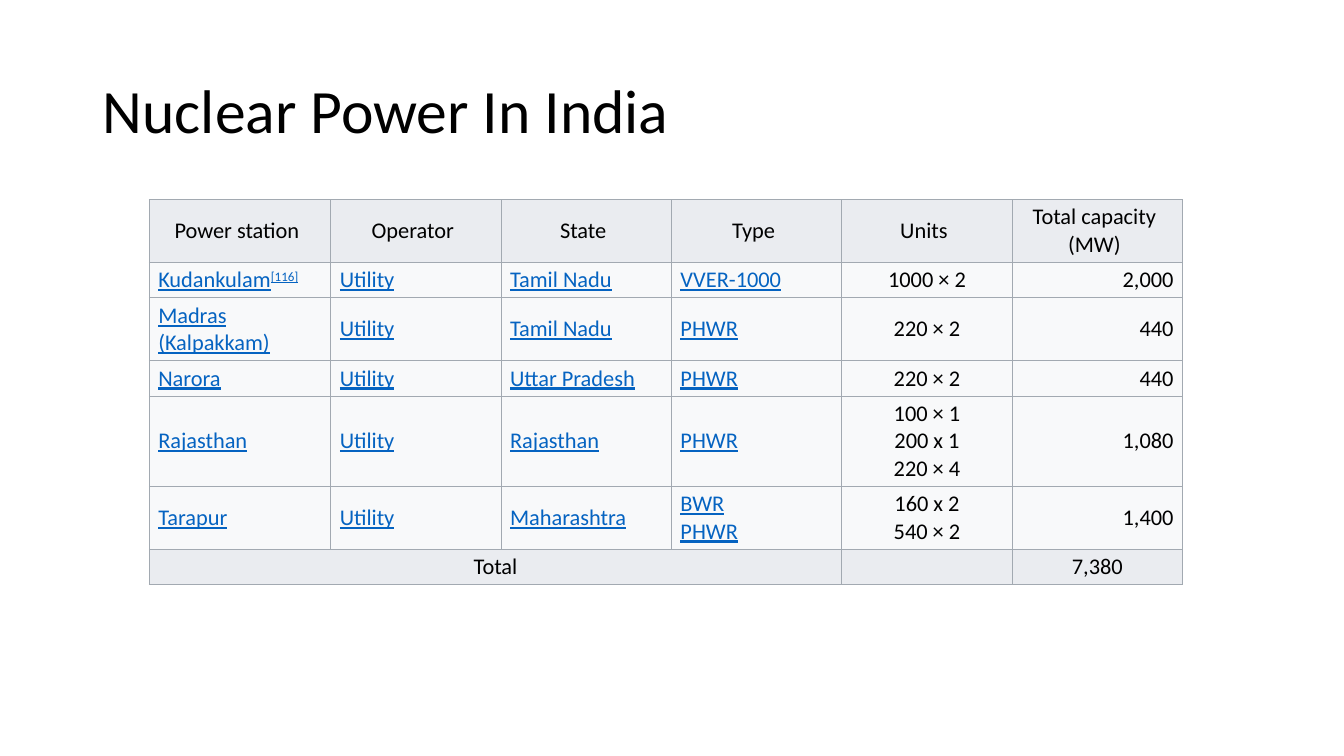
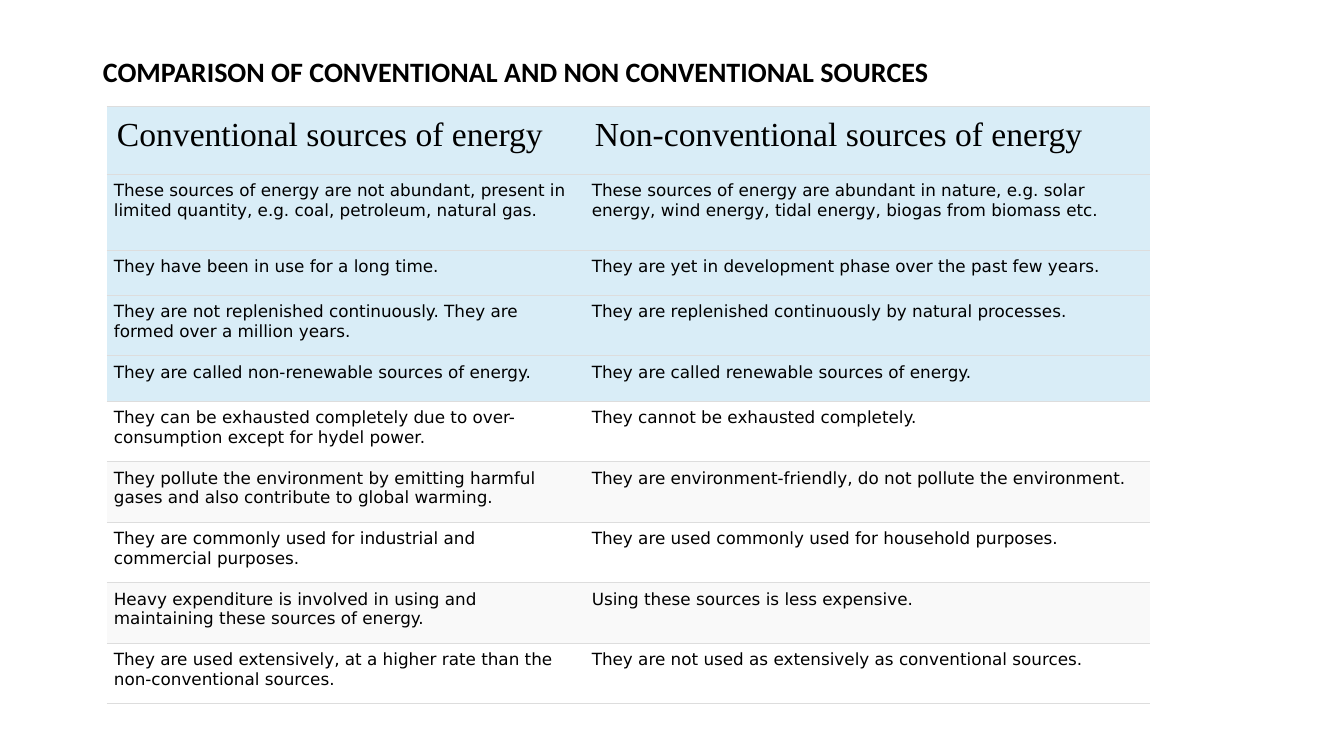
"""Builds two table slides on nuclear power and on kinds of energy sources."""
from lxml import etree
from pptx import Presentation
from pptx import util as u
from pptx.dml.color import RGBColor
from pptx.enum import text
from pptx.oxml import ns

PX = 9144
COLORS = {"ink": "000000", "link": "0563C1", "grid": "A2A9B1", "header": "EAECF0",
          "cell": "F8F9FA", "rule": "DDDDDD", "blue": "D9EDF7", "white": "FFFFFF",
          "stripe": "F9F9F9"}
PLAIN_STYLE = "{2D5ABB26-0587-4C30-8999-92F81FD0307C}"
LEFT, CENTER, RIGHT = text.PP_ALIGN.LEFT, text.PP_ALIGN.CENTER, text.PP_ALIGN.RIGHT

STATIONS = [
    ("Power station", "Operator", "State", "Type", "Units", "Total capacity\n(MW)"),
    ("Kudankulam[116]", "Utility", "Tamil Nadu", "VVER-1000", "1000 × 2", "2,000"),
    ("Madras (Kalpakkam)", "Utility", "Tamil Nadu", "PHWR", "220 × 2", "440"),
    ("Narora", "Utility", "Uttar Pradesh", "PHWR", "220 × 2", "440"),
    ("Rajasthan", "Utility", "Rajasthan", "PHWR", "100 × 1\n200 x 1\n220 × 4", "1,080"),
    ("Tarapur", "Utility", "Maharashtra", "BWR\nPHWR", "160 x 2\n540 × 2", "1,400"),
    ("Total", "", "", "", "", "7,380"),
]
STATION_COLUMNS = [180] + [169] * 5
STATION_ROWS = [62, 35, 62, 35, 88, 62, 35]
STATION_ALIGNS = [LEFT] * 4 + [CENTER, RIGHT]

COMPARISON = [
    ("Conventional sources of energy", "Non-conventional sources of energy"),
    ("These sources of energy are not abundant, present in limited quantity, e.g. coal, "
     "petroleum, natural gas.",
     "These sources of energy are abundant in nature, e.g. solar energy, wind energy, "
     "tidal energy, biogas from biomass etc."),
    ("They have been in use for a long time.",
     "They are yet in development phase over the past few years."),
    ("They are not replenished continuously. They are formed over a million years.",
     "They are replenished continuously by natural processes."),
    ("They are called non-renewable sources of energy.",
     "They are called renewable sources of energy."),
    ("They can be exhausted completely due to over-consumption except for hydel power.",
     "They cannot be exhausted completely."),
    ("They pollute the environment by emitting harmful gases and also contribute to "
     "global warming.",
     "They are environment-friendly, do not pollute the environment."),
    ("They are commonly used for industrial and commercial purposes.",
     "They are used commonly used for household purposes."),
    ("Heavy expenditure is involved in using and maintaining these sources of energy.",
     "Using these sources is less expensive."),
    ("They are used extensively, at a higher rate than the non-conventional sources.",
     "They are not used as extensively as conventional sources."),
]
COMPARISON_COLUMNS = [474, 552, 9]
COMPARISON_ROWS = [67, 75, 45, 60, 45] + [60] * 5
COMPARISON_FILLS = ["blue"] * 5 + ["white", "stripe"] * 2 + ["white"]


def set_font(font, name, size, color="ink"):
    font.name, font.size = name, u.Pt(size)
    font.color.rgb = RGBColor.from_string(COLORS[color])


def add_titled_slide(presentation, title, height, size, bold=False):
    slide = presentation.slides.add_slide(presentation.slide_layouts[5])
    shape = slide.shapes.title
    shape.left, shape.top, shape.width, shape.height = (
        PX * length for length in (92, 40, 1150, height))
    frame = shape.text_frame
    frame.auto_size = text.MSO_AUTO_SIZE.NONE
    frame.vertical_anchor = text.MSO_ANCHOR.MIDDLE
    paragraph = frame.paragraphs[0]
    paragraph.text = title
    paragraph.alignment, paragraph.line_spacing = LEFT, 0.9
    set_font(paragraph.font, "Calibri", size)
    paragraph.font.bold = bold
    return slide


def add_plain_table(slide, left, top, columns, rows):
    frame = slide.shapes.add_table(len(rows), len(columns), PX * left, PX * top,
                                   PX * sum(columns), PX * sum(rows))
    table = frame.table
    table.first_row = table.horz_banding = False
    table._tbl.tblPr.find(ns.qn("a:tableStyleId")).text = PLAIN_STYLE
    for column, width in zip(table.columns, columns):
        column.width = PX * width
    for row, height in zip(table.rows, rows):
        row.height = PX * height
    return table


def format_cell(cell, fill, border, sides, margins):
    properties = cell._tc.get_or_add_tcPr()
    for side in sides:
        line = etree.SubElement(properties, ns.qn(f"a:ln{side}"), w=str(u.Pt(0.6)))
        solid = etree.SubElement(line, ns.qn("a:solidFill"))
        etree.SubElement(solid, ns.qn("a:srgbClr"), val=COLORS[border])
    cell.fill.solid()
    cell.fill.fore_color.rgb = RGBColor.from_string(COLORS[fill])
    cell.margin_left, cell.margin_top, cell.margin_right, cell.margin_bottom = (
        PX * margin for margin in margins)


def add_stations(presentation):
    slide = add_titled_slide(presentation, "Nuclear Power In India", 145, 44)
    table = add_plain_table(slide, 148, 198, STATION_COLUMNS, STATION_ROWS)
    last = len(STATIONS) - 1
    for row, values in enumerate(STATIONS):
        edge = row in (0, last)
        for column, value in enumerate(values):
            cell = table.cell(row, column)
            format_cell(cell, "header" if edge else "cell", "grid", "LRTB",
                        (9, 4, 15 if row == 0 else 9, 4))
            cell.vertical_anchor = text.MSO_ANCHOR.MIDDLE
            paragraph = cell.text_frame.paragraphs[0]
            name, bracket, note = value.partition("[")
            paragraph.text = name
            if bracket:
                run = paragraph.add_run()
                run.text = bracket + note
                run._r.get_or_add_rPr().set("baseline", "30000")
            paragraph.alignment = CENTER if edge else STATION_ALIGNS[column]
            linked = not edge and column < 4
            set_font(paragraph.font, "Calibri", 16, "link" if linked else "ink")
            paragraph.font.underline = linked
    table.cell(last, 0).merge(table.cell(last, 3))


def add_comparison(presentation):
    slide = add_titled_slide(
        presentation, "COMPARISON OF CONVENTIONAL AND NON CONVENTIONAL SOURCES", 65, 20, True)
    table = add_plain_table(slide, 106, 106, COMPARISON_COLUMNS, COMPARISON_ROWS)
    for row, values in enumerate(COMPARISON):
        margin, name, size = (10, "Times New Roman", 24) if row == 0 else (7, "DejaVu Sans", 12)
        for column, value in enumerate((*values, "")):
            cell = table.cell(row, column)
            format_cell(cell, COMPARISON_FILLS[row], "rule", "TB",
                        [margin if value else 0] * 4)
            paragraph = cell.text_frame.paragraphs[0]
            paragraph.text = value
            set_font(paragraph.font, name, size)


def main():
    presentation = Presentation()
    presentation.slide_width, presentation.slide_height = PX * 1333, PX * 750
    add_stations(presentation)
    add_comparison(presentation)
    presentation.save("out.pptx")


if __name__ == "__main__":
    main()
